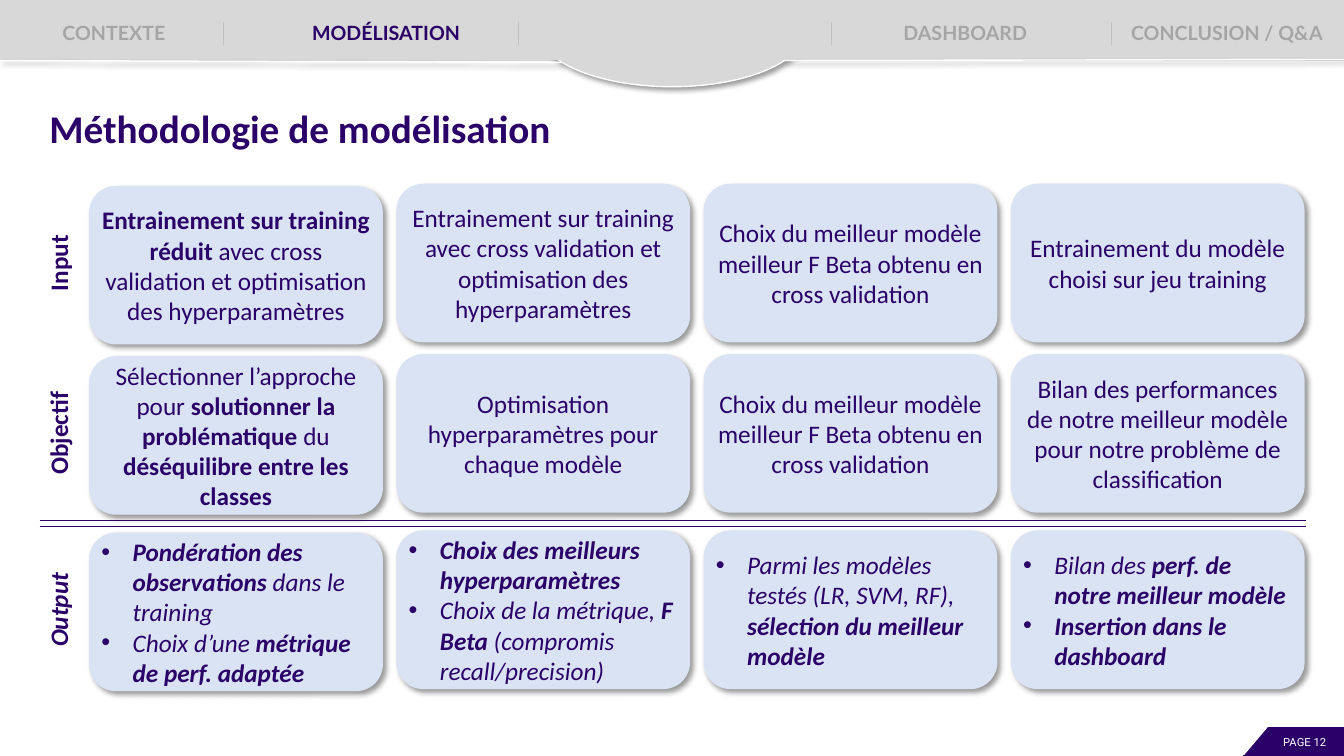
from lxml import etree
from pptx import Presentation
from pptx.dml.color import RGBColor
from pptx.enum.shapes import MSO_CONNECTOR, MSO_SHAPE
from pptx.enum.text import MSO_ANCHOR, PP_ALIGN
from pptx.oxml.ns import qn
from pptx.util import Inches, Pt

RECT, ROUND = MSO_SHAPE.RECTANGLE, MSO_SHAPE.ROUNDED_RECTANGLE
ELLIPSE, TRIANGLE = MSO_SHAPE.OVAL, MSO_SHAPE.RIGHT_TRIANGLE
STRAIGHT = MSO_CONNECTOR.STRAIGHT
LEFT, CENTER, RIGHT = PP_ALIGN.LEFT, PP_ALIGN.CENTER, PP_ALIGN.RIGHT
TOP, MIDDLE = MSO_ANCHOR.TOP, MSO_ANCHOR.MIDDLE

PURPLE = RGBColor(0x2A, 0x00, 0x68)
PALE_BLUE = RGBColor(0xDA, 0xE3, 0xF3)
BAR_GREY = RGBColor(0xD7, 0xD8, 0xD7)
RULE_GREY = RGBColor(0xBF, 0xBF, 0xBF)
TEXT_GREY = RGBColor(0xA5, 0xA5, 0xA5)
WHITE = RGBColor(0xFF, 0xFF, 0xFF)

# Card grid, in percent of the slide's width and height
CARD_X, CARD_STEP, CARD_W, CARD_H = 6.68, 22.86, 21.76, 20.8
FIRST_COLUMN_DROP = 0.27

# name, top, italic and bulleted, one text per column; ** switches bold, a line break starts a bullet
ROWS = [
    ("Input", 24.4, False, [
        "**Entrainement sur training réduit **avec cross validation et optimisation des hyperparamètres",
        "Entrainement sur training avec cross validation et optimisation des hyperparamètres",
        "Choix du meilleur modèle meilleur F Beta obtenu en cross validation",
        "Entrainement du modèle choisi sur jeu training"]),
    ("Objectif", 46.93, False, [
        "Sélectionner l’approche pour **solutionner la problématique **du **déséquilibre entre les classes**",
        "Optimisation hyperparamètres pour chaque modèle",
        "Choix du meilleur modèle meilleur F Beta obtenu en cross validation",
        "Bilan des performances de notre meilleur modèle pour notre problème de classification"]),
    ("Output", 70.27, True, [
        "**Pondération des observations **dans le training\nChoix d’une **métrique de perf. adaptée**",
        "**Choix des meilleurs hyperparamètres**\n"
        "Choix de la métrique, **F Beta **(compromis recall/precision)",
        "Parmi les modèles testés (LR, SVM, RF), **sélection du meilleur modèle**",
        "Bilan des **perf. de notre meilleur modèle**\n**Insertion dans le dashboard**"]),
]
# label, left, width, colour
TABS = [
    ("CONTEXTE", 0.08, 16.8, TEXT_GREY),
    ("MODÉLISATION", 16.88, 23.7, PURPLE),
    ("DASHBOARD", 60.9, 21.83, TEXT_GREY),
    ("CONCLUSION / Q&A", 82.9, 16.8, TEXT_GREY),
]


class SlideBuilder:
    """Draws on one slide; every length is a percentage of the slide's size."""

    def __init__(self, prs):
        self.width, self.height = prs.slide_width, prs.slide_height
        self.s = prs.slides.add_slide(prs.slide_layouts[5])

    def emu(self, *shares):
        """Turn alternating horizontal and vertical shares into lengths."""
        sides = (self.width, self.height) * 2
        return [round(v * side / 100) for v, side in zip(shares, sides)]

    def cast_shadow(self, effects):
        shadow = etree.SubElement(effects, qn("a:outerShdw"), blurRad=str(Pt(4)), dist=str(Pt(3)),
                                  dir="2700000", algn="tl", rotWithShape="0")
        color = etree.SubElement(shadow, qn("a:srgbClr"), val="000000")
        etree.SubElement(color, qn("a:alpha"), val="40000")

    def shape(self, kind, at, fill, line=None, shadow=False):
        sp = self.s.shapes.add_shape(kind, *self.emu(*at))
        sp.fill.solid()
        sp.fill.fore_color.rgb = fill
        sp.line.color.rgb = line or fill
        sp.line.width = Pt(1)
        sp.shadow.inherit = False
        if shadow:
            self.cast_shadow(sp._element.spPr.find(qn("a:effectLst")))
        return sp

    def line(self, start, end, color, width=0.5, shadow=False):
        sp = self.s.shapes.add_connector(STRAIGHT, *self.emu(*start, *end))
        sp.line.color.rgb = color
        sp.line.width = Pt(width)
        effects = etree.SubElement(sp._element.spPr, qn("a:effectLst"))
        if shadow:
            self.cast_shadow(effects)

    def set_text(self, sp, text, size, color, font="Calibri", align=CENTER, anchor=MIDDLE,
                 bold=False, italic=False, bullets=False, tight=False):
        """Fill a shape with text in which ** switches bold on and off."""
        tf = sp.text_frame
        tf.word_wrap = True
        tf.vertical_anchor = anchor
        if tight:
            tf.margin_left = tf.margin_right = Inches(0.04)
            tf.margin_top = tf.margin_bottom = 0
        for i, line in enumerate(text.split("\n")):
            p = tf.add_paragraph() if i else tf.paragraphs[0]
            p.alignment = align
            p.font.name, p.font.size, p.font.color.rgb = font, Pt(size), color
            p.font.bold, p.font.italic = bold, italic
            if bullets:
                self.bullet(p)
            for j, part in enumerate(line.split("**")):
                if part:
                    r = p.add_run()
                    r.text = part
                    if j % 2:
                        r.font.bold = True

    def bullet(self, p):
        props = p._p.get_or_add_pPr()
        props.set("marL", str(Inches(0.31)))
        props.set("indent", str(-Inches(0.31)))
        mark = etree.Element(qn("a:buChar"), char="•")
        face = etree.Element(qn("a:buFont"), typeface="Arial")
        props.insert(0, mark)
        props.insert(0, face)

    def textbox(self, at, text, size, color, **style):
        sp = self.s.shapes.add_textbox(*self.emu(*at))
        self.set_text(sp, text, size, color, **style)
        return sp

    def title(self, at, text):
        sp = self.s.shapes.title
        sp.left, sp.top, sp.width, sp.height = self.emu(*at)
        self.set_text(sp, text, 28, PURPLE, align=LEFT, anchor=TOP, bold=True)

    def card(self, column, top, text, output):
        drop = 0 if column else FIRST_COLUMN_DROP
        at = (CARD_X + column * CARD_STEP, top + drop, CARD_W, CARD_H)
        sp = self.shape(ROUND, at, PALE_BLUE, shadow=True)
        self.set_text(sp, text, 18, PURPLE, align=LEFT if output else CENTER,
                      italic=output, bullets=output, tight=True)

    def row_label(self, top, text, italic):
        sp = self.textbox((3, top, 2.63, CARD_H), text, 18, PURPLE,
                          bold=True, italic=italic, tight=True)
        sp.text_frame._txBody.bodyPr.set("vert", "vert270")

    def navigation(self):
        self.shape(RECT, (0, 0, 100, 8), BAR_GREY)
        self.shape(ELLIPSE, (40.13, -3.2, 19.73, 14.67), BAR_GREY, WHITE, shadow=True)
        self.shape(RECT, (37.13, 0, 25.73, 7.87), BAR_GREY)
        for x in (16.65, 38.56, 61.82, 82.67):
            self.line((x, 2.93), (x, 6), RULE_GREY)
        for text, left, width, color in TABS:
            self.textbox((left, 2.13, width, 4.5), text, 14, color,
                         font="Lato", anchor=TOP, bold=True)
        self.line((58.29, 8), (100, 7.87), WHITE, 1, shadow=True)
        self.line((0, 8), (41.79, 8.27), WHITE, 1, shadow=True)

    def page_tag(self, text):
        self.shape(RECT, (92.5, 96.27, 7.5, 3.73), PURPLE)
        self.textbox((93.02, 96.8, 6.4, 2.67), text, 8, WHITE, font="Roboto", align=RIGHT)
        self.shape(TRIANGLE, (92.35, 95.73, 2.48, 3.73), WHITE).rotation = 90


def main():
    prs = Presentation()
    prs.slide_width, prs.slide_height = Inches(13.33), Inches(7.5)
    slide = SlideBuilder(prs)
    slide.navigation()
    slide.page_tag("PAGE 12")
    slide.title((2.93, 13.07, 94.22, 7.6), "Méthodologie de modélisation")
    for name, top, output, texts in ROWS:
        slide.row_label(top, name, output)
        for column, text in enumerate(texts):
            slide.card(column, top, text, output)
    for y in (68.8, 69.6):
        slide.line((2.95, y), (97.15, y), PURPLE)
    prs.save("out.pptx")


if __name__ == "__main__":
    main()
